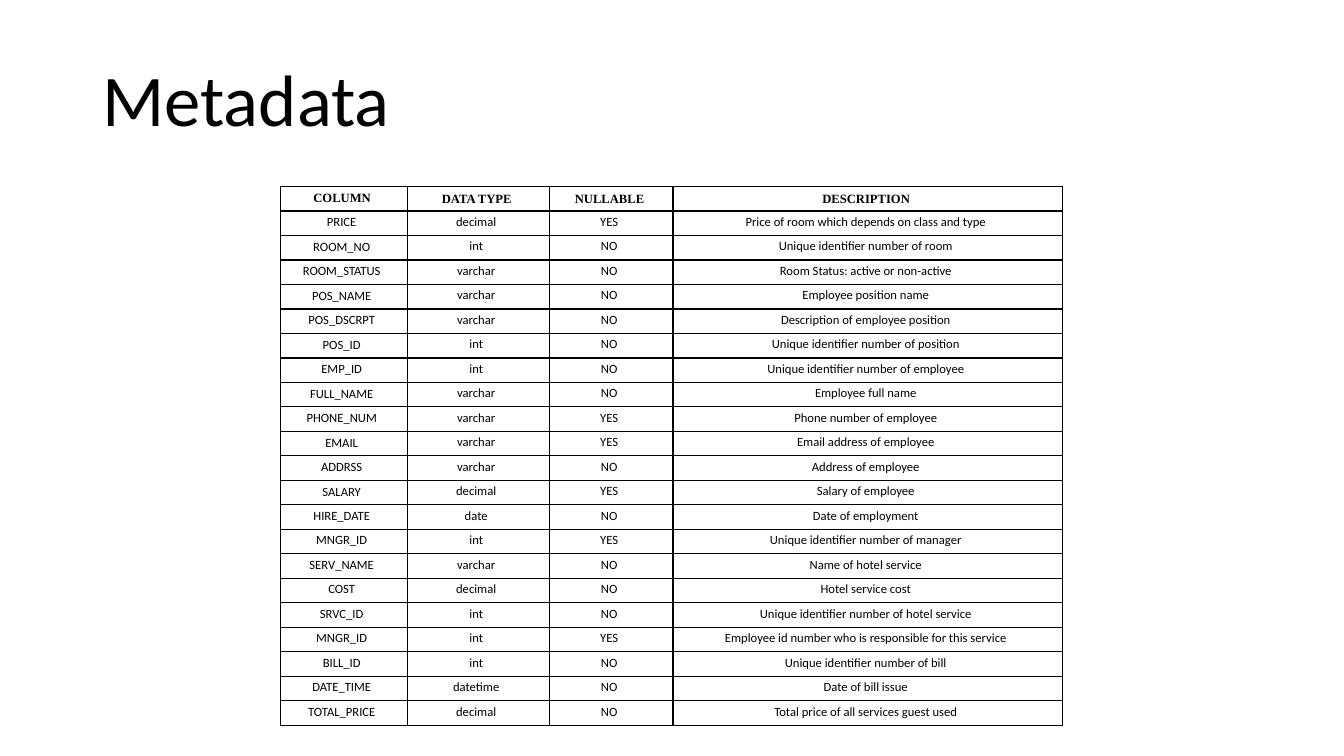
import dataclasses

import lxml.etree
import pptx
import pptx.dml.color
import pptx.enum.text
import pptx.oxml.ns
import pptx.util

Cm = pptx.util.Cm
Pt = pptx.util.Pt
RGBColor = pptx.dml.color.RGBColor
PP_ALIGN = pptx.enum.text.PP_ALIGN
MSO_ANCHOR = pptx.enum.text.MSO_ANCHOR
qn = pptx.oxml.ns.qn


@dataclasses.dataclass(frozen=True)
class Theme:
    ink: str = "000000"
    body_font: str = "Calibri"
    header_font: str = "Times New Roman"
    title_size: float = 52
    cell_size: float = 9
    border: float = 1


THEME = Theme()
TITLE_BOX = (2.33, 0.5, 29.21, 4.2)
TABLE_BOX = (7.06, 4.7, 19.71, 13.59)
COLUMN_WIDTHS = (3.2, 3.58, 3.12, 9.81)
HEADER = ("COLUMN", "DATA TYPE", "NULLABLE", "DESCRIPTION")
FIELDS = (
    ("PRICE", "decimal", "YES", "Price of room which depends on class and type"),
    ("ROOM_NO", "int", "NO", "Unique identifier number of room"),
    ("ROOM_STATUS", "varchar", "NO", "Room Status: active or non-active"),
    ("POS_NAME", "varchar", "NO", "Employee position name"),
    ("POS_DSCRPT", "varchar", "NO", "Description of employee position"),
    ("POS_ID", "int", "NO", "Unique identifier number of position"),
    ("EMP_ID", "int", "NO", "Unique identifier number of employee"),
    ("FULL_NAME", "varchar", "NO", "Employee full name"),
    ("PHONE_NUM", "varchar", "YES", "Phone number of employee"),
    ("EMAIL", "varchar", "YES", "Email address of employee"),
    ("ADDRSS", "varchar", "NO", "Address of employee"),
    ("SALARY", "decimal", "YES", "Salary of employee"),
    ("HIRE_DATE", "date", "NO", "Date of employment"),
    ("MNGR_ID", "int", "YES", "Unique identifier number of manager"),
    ("SERV_NAME", "varchar", "NO", "Name of hotel service"),
    ("COST", "decimal", "NO", "Hotel service cost"),
    ("SRVC_ID", "int", "NO", "Unique identifier number of hotel service"),
    ("MNGR_ID", "int", "YES", "Employee id number who is responsible for this service"),
    ("BILL_ID", "int", "NO", "Unique identifier number of bill"),
    ("DATE_TIME", "datetime", "NO", "Date of bill issue"),
    ("TOTAL_PRICE", "decimal", "NO", "Total price of all services guest used"),
)


def write_text(tf, text, *, size, font=THEME.body_font, bold=False,
               align=PP_ALIGN.LEFT, spacing=1.0, after=0):
    p = tf.paragraphs[0]
    p.alignment = align
    p.line_spacing = spacing
    p.space_after = Pt(after)
    r = p.add_run()
    r.text = text
    r.font.name = font
    r.font.size = Pt(size)
    r.font.bold = bold
    r.font.color.rgb = RGBColor.from_string(THEME.ink)


def add_borders(cell):
    tcPr = cell._tc.get_or_add_tcPr()
    for side in ("lnL", "lnR", "lnT", "lnB"):
        ln = lxml.etree.SubElement(tcPr, qn(f"a:{side}"), w=str(Pt(THEME.border)))
        fill = lxml.etree.SubElement(ln, qn("a:solidFill"))
        lxml.etree.SubElement(fill, qn("a:srgbClr"), val=THEME.ink)


def add_title(slide, box, text):
    sp = slide.shapes.title
    sp.left, sp.top, sp.width, sp.height = map(Cm, box)
    tf = sp.text_frame
    tf.word_wrap = True
    tf.auto_size = pptx.enum.text.MSO_AUTO_SIZE.NONE
    tf.vertical_anchor = MSO_ANCHOR.MIDDLE
    write_text(tf, text, size=THEME.title_size, spacing=0.9)


def format_cell(cell, text, is_header, is_first):
    cell.margin_left, cell.margin_top = Cm(0), Cm(0.03)
    cell.margin_right, cell.margin_bottom = Cm(0.08 if is_header else 0.1), Cm(0.13)
    if is_first:
        cell.vertical_anchor = MSO_ANCHOR.MIDDLE
    else:
        cell.vertical_anchor = MSO_ANCHOR.BOTTOM if is_header else MSO_ANCHOR.TOP
    add_borders(cell)
    cell.fill.background()
    write_text(cell.text_frame, text, size=THEME.cell_size, bold=is_header,
               font=THEME.header_font if is_header else THEME.body_font,
               align=PP_ALIGN.CENTER, spacing=1.15, after=10)


def add_metadata_table(slide, box, rows):
    left, top, width, height = map(Cm, box)
    table = slide.shapes.add_table(
        len(rows), len(COLUMN_WIDTHS), left, top, width, height).table
    table.first_row = False
    table.horz_banding = False
    for column, column_width in zip(table.columns, COLUMN_WIDTHS):
        column.width = Cm(column_width)
    for i, values in enumerate(rows):
        table.rows[i].height = height // len(rows)
        for j, text in enumerate(values):
            format_cell(table.cell(i, j), text, i == 0, j == 0)


def main():
    prs = pptx.Presentation()
    prs.slide_width, prs.slide_height = Cm(33.87), Cm(19.05)
    slide = prs.slides.add_slide(prs.slide_layouts.get_by_name("Title Only"))
    add_title(slide, TITLE_BOX, "Metadata")
    add_metadata_table(slide, TABLE_BOX, (HEADER, *FIELDS))
    prs.save("out.pptx")


if __name__ == "__main__":
    main()
